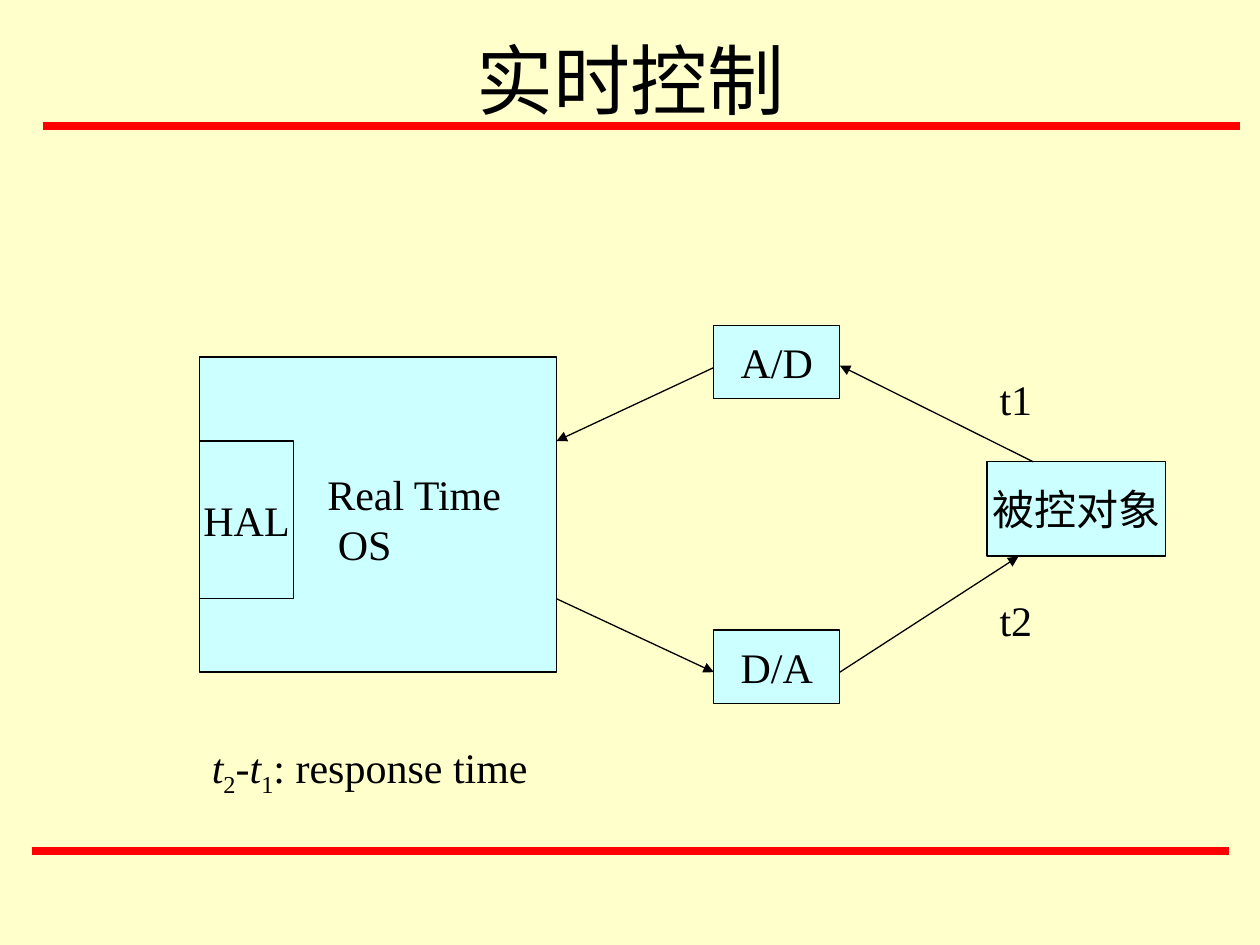
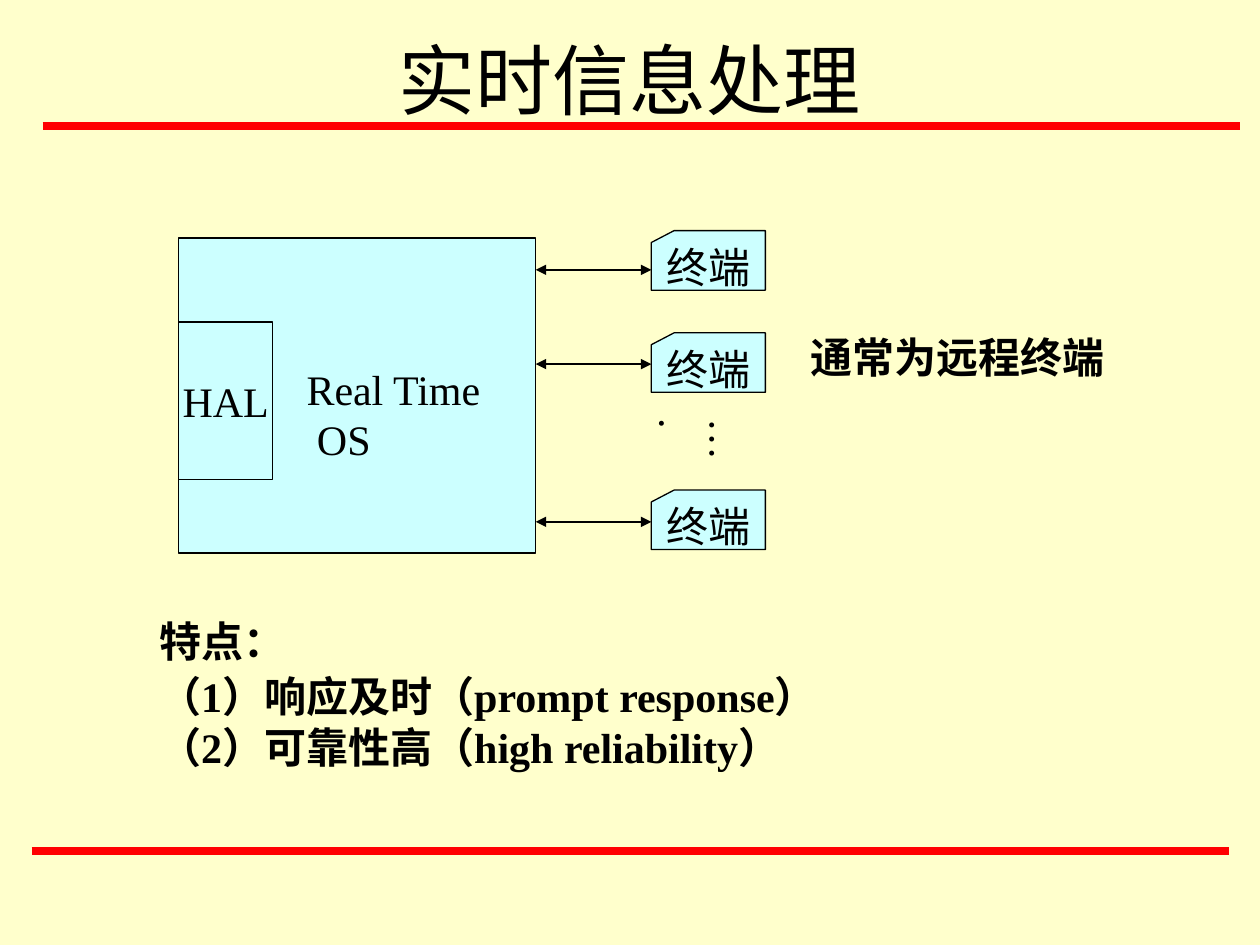
from dataclasses import dataclass

from lxml import etree
from pptx import Presentation
from pptx.dml.color import RGBColor
from pptx.enum.shapes import MSO_CONNECTOR, MSO_SHAPE
from pptx.enum.text import MSO_ANCHOR, PP_ALIGN
from pptx.oxml.ns import qn
from pptx.util import Cm, Pt

RECT, CARD = MSO_SHAPE.RECTANGLE, MSO_SHAPE.FLOWCHART_CARD
LINE = MSO_CONNECTOR.STRAIGHT
CENTER, LEFT = PP_ALIGN.CENTER, PP_ALIGN.LEFT
MIDDLE, TOP = MSO_ANCHOR.MIDDLE, MSO_ANCHOR.TOP


@dataclass(frozen=True)
class Theme:
    paper: RGBColor = RGBColor(0xFF, 0xFF, 0xCC)
    panel: RGBColor = RGBColor(0xCC, 0xFF, 0xFF)
    ink: RGBColor = RGBColor(0, 0, 0)
    rule: RGBColor = RGBColor(0xFF, 0, 0)
    latin: str = "Times New Roman"
    cjk: str = "Noto Sans CJK SC"
    title_size: Pt = Pt(44)
    body_size: Pt = Pt(24)
    before: Pt = Pt(15)
    thin: Pt = Pt(0.75)
    thick: Pt = Pt(4.5)


T = Theme()
OS_WIDTH, OS_HEIGHT = 7.2, 6.35


def set_attrs(obj, values):
    for name, value in values.items():
        setattr(obj, name, value)


# Basic parts; all lengths are in centimetres
def add_run(p, text, size=T.body_size, latin=T.latin, base=0, **font):
    r = p.add_run()
    r.text = text
    set_attrs(r.font, {"size": size, "name": latin, **font})
    r.font.color.rgb = T.ink
    rPr = r._r.get_or_add_rPr()
    if base:
        rPr.set("baseline", str(base))
    etree.SubElement(rPr, qn("a:ea")).set("typeface", T.cjk)


def add_text(s, x, y, w, h, lines, align=LEFT, anchor=TOP, before=T.before,
             spacing=None, **font):
    """Each line is a list of (text, run format) pairs or a string,
    in which a newline is a line break."""
    sp = s.shapes.add_textbox(Cm(x), Cm(y), Cm(w), Cm(h))
    tf = sp.text_frame
    set_attrs(tf, {"word_wrap": True, "vertical_anchor": anchor})
    for i, line in enumerate(lines):
        p = tf.paragraphs[0] if i == 0 else tf.add_paragraph()
        set_attrs(p, {"alignment": align, "space_before": before})
        if spacing and i:
            p.line_spacing = spacing
        if isinstance(line, str):
            line = [(part, {}) for part in line.split("\n")]
            breaks = True
        else:
            breaks = False
        for j, (text, fmt) in enumerate(line):
            if breaks and j:
                p.add_line_break()
            add_run(p, text, **{**font, **fmt})
    return sp


def add_block(s, x, y, w, h, label="", kind=RECT):
    sp = s.shapes.add_shape(kind, Cm(x), Cm(y), Cm(w), Cm(h))
    sp.shadow.inherit = False
    sp.fill.solid()
    sp.fill.fore_color.rgb = T.panel
    sp.line.color.rgb = T.ink
    sp.line.width = T.thin
    if label:
        tf = sp.text_frame
        set_attrs(tf, {"word_wrap": False, "vertical_anchor": MIDDLE})
        p = tf.paragraphs[0]
        p.alignment = CENTER
        add_run(p, label)


def add_line(s, x1, y1, x2, y2, color=T.ink, width=T.thin, ends=()):
    c = s.shapes.add_connector(LINE, Cm(x1), Cm(y1), Cm(x2), Cm(y2))
    c.line.color.rgb = color
    c.line.width = width
    spPr = c._element.spPr
    for end in ends:
        etree.SubElement(spPr.find(qn("a:ln")), qn(f"a:{end}")).set("type", "triangle")
    etree.SubElement(spPr, qn("a:effectLst"))


# Shared slide frame: background, title and two red rules
def new_slide(prs, title):
    s = prs.slides.add_slide(prs.slide_layouts[6])
    s.background.fill.solid()
    s.background.fill.fore_color.rgb = T.paper
    for x, y in ((0.64, 17.15), (0.86, 2.54)):
        add_line(s, x, y, x + 24.13, y, T.rule, T.thick)
    add_text(s, 1.91, 0, 21.59, 3.18, [title], CENTER, MIDDLE, Pt(0),
             size=T.title_size, latin=T.cjk)
    return s


# Operating system panel with its hardware layer
def add_os(s, x, y, label_dy):
    add_block(s, x, y, OS_WIDTH, OS_HEIGHT)
    add_block(s, x, y + 1.69, 1.9, 3.18, "HAL")
    add_text(s, x + 2.33, y + label_dy, 4.66, 2.29, ["Real Time\n OS"])


# Loop from the controlled object through the converters and back
def add_control_loop(s, x, y):
    add_os(s, x, y + 0.64, 2.12)
    add_block(s, x + 15.88, y + 2.75, 3.6, 1.9, "被控对象")
    for label, dy in (("A/D", 0), ("D/A", 6.14)):
        add_block(s, x + 10.37, y + dy, 2.54, 1.48, label)
    for x1, y1, x2, y2 in ((16.81, 2.75, 12.91, 0.81),
                           (12.91, 6.99, 16.51, 4.66),
                           (10.37, 0.85, OS_WIDTH, 2.33),
                           (OS_WIDTH, 5.51, 10.37, 6.99)):
        add_line(s, x + x1, y + y1, x + x2, y + y2, ends=["tailEnd"])
    for label, dy in (("t1", 0.85), ("t2", 5.29)):
        add_text(s, x + 15.88, y + dy, 1.48, 1.27, [label])


# Panel linked both ways to a column of terminals
def add_terminals(s, x, y):
    add_os(s, x, y + 0.15, 2.4)
    card_x = x + 9.53
    for card_dy, arrow_dy in ((0, 0.79), (2.06, 2.69), (5.23, 5.87)):
        add_line(s, x + OS_WIDTH, y + arrow_dy, card_x, y + arrow_dy,
                 ends=["headEnd", "tailEnd"])
        add_block(s, card_x, y + card_dy, 2.3, 1.2, "终端", CARD)
    dots = add_text(s, x + 10.16, y + 3.53, 1.53, 1.48, ["…."])
    tf = dots.text_frame
    set_attrs(tf, {"margin_left": Cm(0.13), "margin_right": Cm(0.13),
                   "margin_top": Cm(0.25), "margin_bottom": Cm(0.25)})
    tf._txBody.bodyPr.set("vert", "eaVert")


def control_slide(prs):
    s = new_slide(prs, "实时控制")
    add_control_loop(s, 4.02, 6.56)
    var, sub = {"italic": True}, {"base": -25000}
    add_text(s, 4.02, 14.82, 20.11, 1.42,
             [[("t", var), ("2", sub), ("-", {}), ("t", var), ("1", sub),
               (": response time", {})]])


def information_slide(prs):
    s = new_slide(prs, "实时信息处理")
    add_terminals(s, 3.6, 4.65)
    add_text(s, 16.09, 6.56, 6.99, 1.27, ["通常为远程终端"], bold=True)
    add_text(s, 2.96, 12.28, 19.69, 3.35,
             ["特点：", "（1）响应及时（prompt response）",
              "（2）可靠性高（high reliability）"], spacing=0.5, bold=True)


def main():
    prs = Presentation()
    prs.slide_width, prs.slide_height = Cm(25.4), Cm(19.05)
    control_slide(prs)
    information_slide(prs)
    prs.save("out.pptx")


if __name__ == "__main__":
    main()
